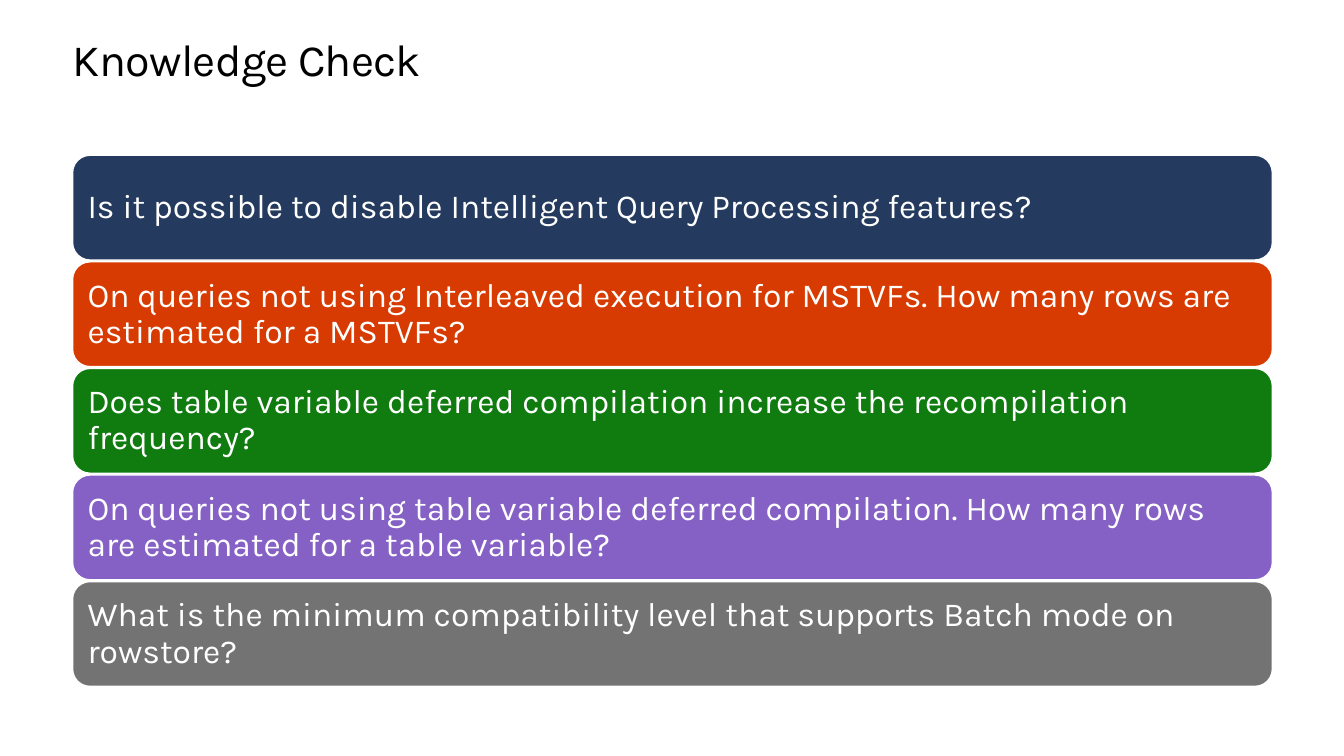
from pptx import Presentation
from pptx.dml.color import RGBColor
from pptx.enum.shapes import MSO_SHAPE
from pptx.enum.text import MSO_ANCHOR, MSO_AUTO_SIZE, PP_ALIGN
from pptx.util import Inches, Pt

ROUNDED = MSO_SHAPE.ROUNDED_RECTANGLE
TOP, MIDDLE = MSO_ANCHOR.TOP, MSO_ANCHOR.MIDDLE
GROW = MSO_AUTO_SIZE.SHAPE_TO_FIT_TEXT
LEFT = PP_ALIGN.LEFT
TITLE_ONLY = 5

MARGIN, WIDTH = 0.72, 11.9
FIRST_TOP, LAST_TOP, BAR_HEIGHT = 1.54, 5.77, 1.04

QUESTIONS = [
    ("Is it possible to disable Intelligent Query Processing features?", "243A5E"),
    ("On queries not using Interleaved execution for MSTVFs. "
     "How many rows are estimated for a MSTVFs?", "D83B01"),
    ("Does table variable deferred compilation increase the "
     "recompilation frequency?", "107C10"),
    ("On queries not using table variable deferred compilation. "
     "How many rows are estimated for a table variable?", "8661C5"),
    ("What is the minimum compatibility level that supports "
     "Batch mode on rowstore?", "737373"),
]


def color(value):
    return RGBColor.from_string(value)


class QuizPage:
    """Holds the text style and the slide being filled."""

    font_name = "Karla"

    def __init__(self, deck):
        self.page = deck.slides.add_slide(deck.slide_layouts[TITLE_ONLY])

    def set_text(self, shape, text, size, ink, anchor, inset, spacing):
        frame = shape.text_frame
        frame.word_wrap = True
        frame.vertical_anchor = anchor
        frame.margin_left = frame.margin_right = Inches(inset)
        frame.margin_top = frame.margin_bottom = Inches(inset)
        para = frame.paragraphs[0]
        para.text = text
        para.alignment = LEFT
        para.line_spacing = spacing
        para.font.name = self.font_name
        para.font.size = Pt(size)
        para.font.color.rgb = color(ink)
        return para

    def title(self, text):
        box = self.page.shapes.title
        box.left, box.top = Inches(MARGIN), Inches(0.35)
        box.width, box.height = Inches(WIDTH), Inches(0.5)
        para = self.set_text(box, text, 32, "000000", TOP, 0, Pt(36.2))
        box.text_frame.auto_size = GROW
        # Letter spacing in hundredths of a point
        para.runs[0]._r.get_or_add_rPr().set("spc", "-50")

    def question(self, text, fill, top):
        bar = self.page.shapes.add_shape(
            ROUNDED, Inches(MARGIN), Inches(top), Inches(WIDTH), Inches(BAR_HEIGHT))
        bar.shadow.inherit = False
        bar.fill.solid()
        bar.fill.fore_color.rgb = color(fill)
        bar.line.color.rgb = color("FFFFFF")
        bar.line.width = Pt(1)
        self.set_text(bar, text, 24, "FFFFFF", MIDDLE, 0.1, 0.9)


def main():
    deck = Presentation()
    deck.slide_width, deck.slide_height = Inches(13.33), Inches(7.5)
    quiz = QuizPage(deck)
    quiz.title("Knowledge Check")
    pitch = (LAST_TOP - FIRST_TOP) / (len(QUESTIONS) - 1)
    for row, (text, fill) in enumerate(QUESTIONS):
        quiz.question(text, fill, FIRST_TOP + row * pitch)
    deck.save("out.pptx")


if __name__ == "__main__":
    main()
